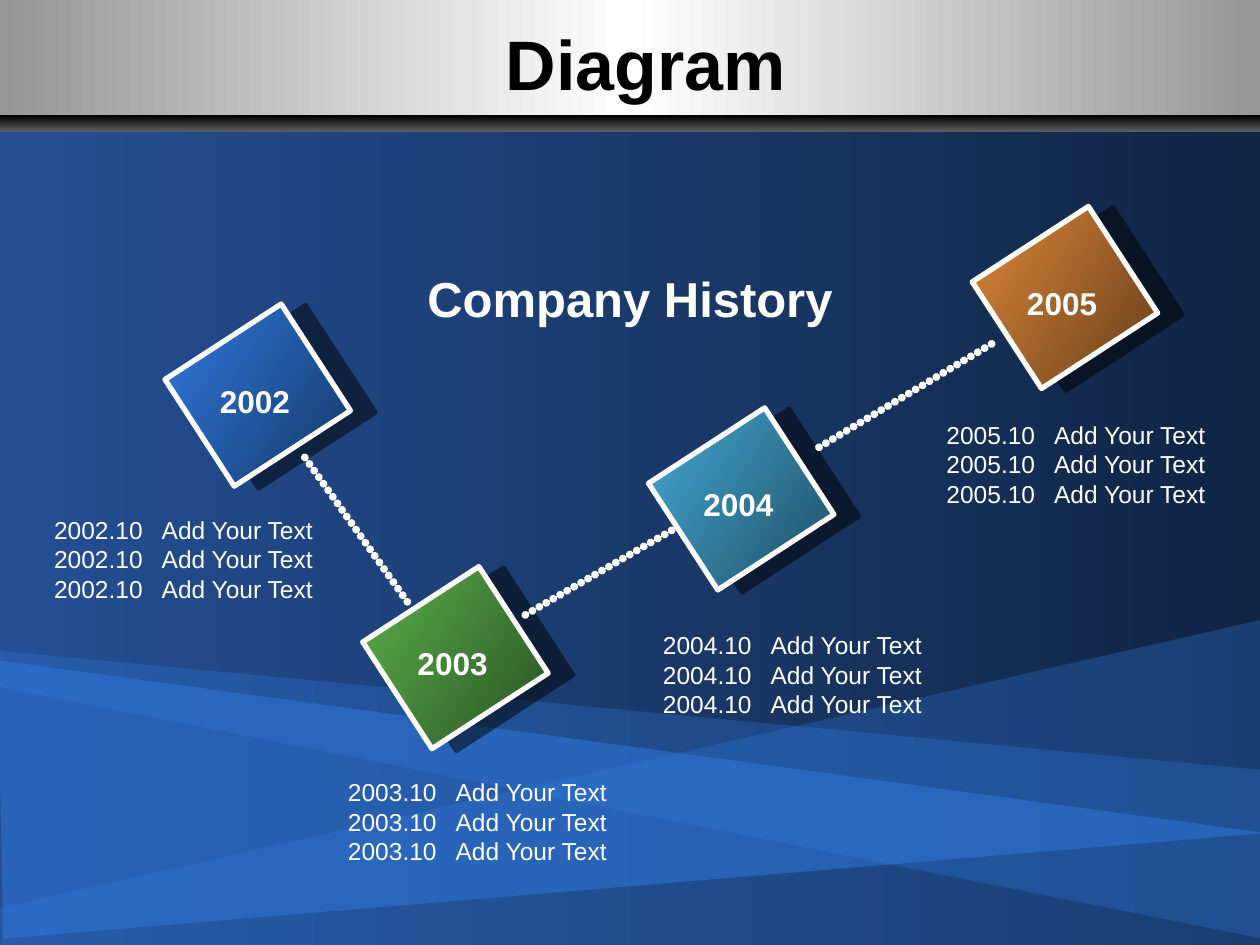
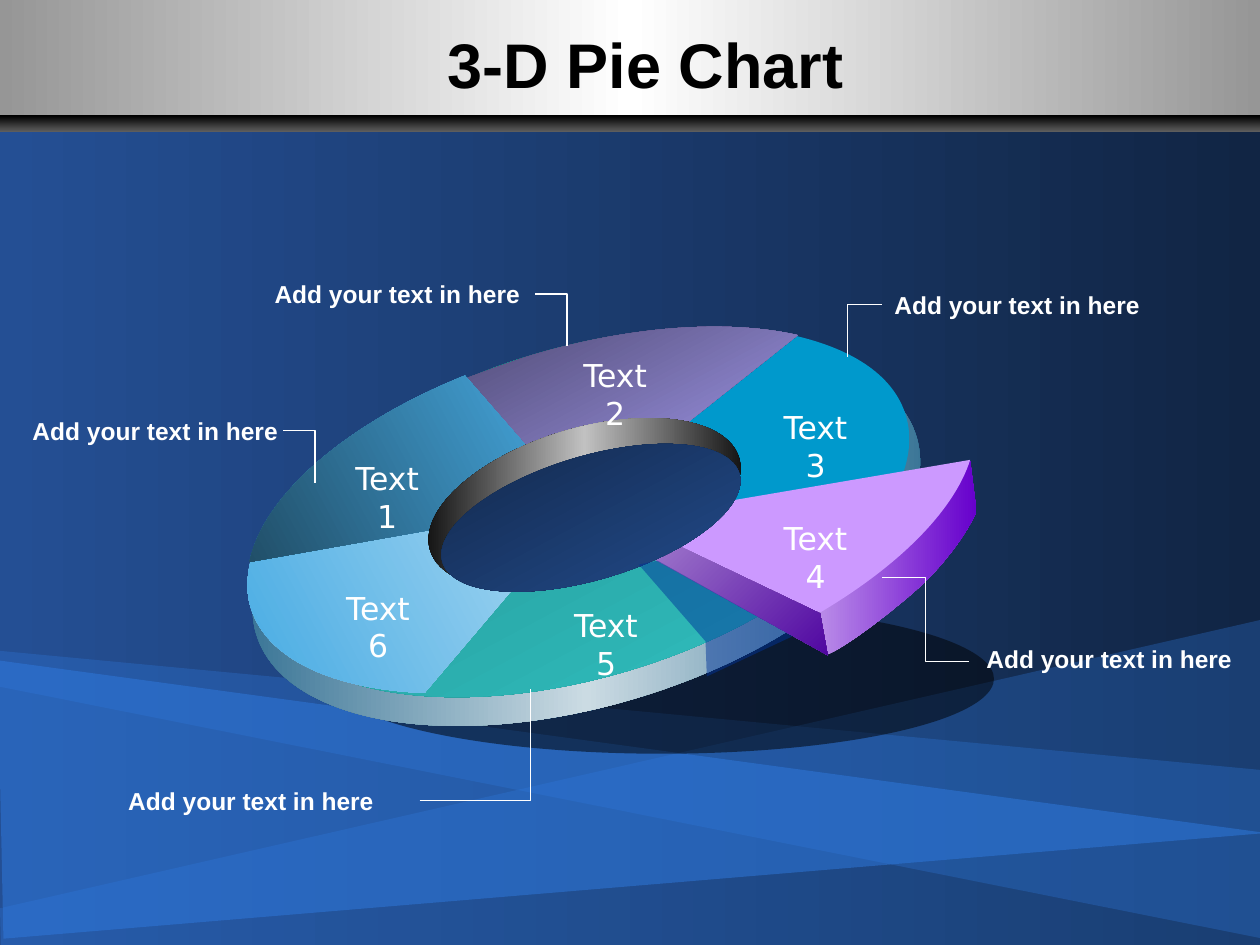
from lxml import etree
from pptx import Presentation
from pptx.dml.color import RGBColor
from pptx.enum.shapes import MSO_CONNECTOR as CONNECTOR, MSO_SHAPE as SHAPE
from pptx.enum.text import MSO_ANCHOR as ANCHOR, PP_ALIGN as ALIGN
from pptx.oxml.ns import qn
from pptx.util import Pt

# Colours
BLACK = RGBColor(0x00, 0x00, 0x00)
WHITE = RGBColor(0xFF, 0xFF, 0xFF)
SILVER = RGBColor(0x96, 0x96, 0x96)
GRAPHITE = RGBColor(0x5D, 0x5D, 0x5D)
RING_GREY = RGBColor(0xC1, 0xC1, 0xC1)
ROYAL = RGBColor(0x24, 0x4F, 0x94)
NAVY = RGBColor(0x11, 0x25, 0x44)
BEAM = RGBColor(0x2F, 0x7A, 0xDF)
BEAM_DARK = RGBColor(0x16, 0x38, 0x67)
GREEN = RGBColor(0x5A, 0xB1, 0x4B)
GREEN_DARK = RGBColor(0x2A, 0x52, 0x23)
AQUA = RGBColor(0x44, 0xA9, 0xD6)
AQUA_DARK = RGBColor(0x1F, 0x4E, 0x63)
ORANGE = RGBColor(0xDD, 0x87, 0x39)
ORANGE_DARK = RGBColor(0x66, 0x3E, 0x1A)
STEEL = RGBColor(0x29, 0x69, 0x8D)
MIST = RGBColor(0xCB, 0xDB, 0xE3)
TEAL_DARK = RGBColor(0x20, 0x82, 0x82)
TEAL = RGBColor(0x33, 0xCC, 0xCC)
CYAN = RGBColor(0x00, 0x99, 0xCC)
SKY_LIGHT = RGBColor(0xAB, 0xD9, 0xF2)
SKY = RGBColor(0x47, 0xAB, 0xE3)
SKY_DARK = RGBColor(0x21, 0x4F, 0x69)
PLUM = RGBColor(0x4F, 0x4A, 0x73)
PERIWINKLE = RGBColor(0xAA, 0xA0, 0xF8)
LILAC = RGBColor(0xCC, 0x99, 0xFF)
LILAC_EDGE = RGBColor(0xB9, 0x8B, 0xE8)
VIOLET = RGBColor(0x66, 0x00, 0xCC)
LILAC_CUT = RGBColor(0xAF, 0x8E, 0xD4)
VIOLET_CUT = RGBColor(0x50, 0x07, 0xA1)
CUT_BLUE = RGBColor(0x00, 0x33, 0x99)

TILT = 343.4


# Fills and effects
def add_color(parent, color, opacity=100):
    node = etree.SubElement(parent, qn("a:srgbClr"), val=str(color))
    if opacity < 100:
        etree.SubElement(node, qn("a:alpha"), val=str(opacity * 1000))


def fill_gradient(fill, colors, angle):
    """Spread the colours evenly; angle is clockwise, fixed to the slide."""
    fill.gradient()
    stop_list = fill.gradient_stops[0]._gs.getparent()
    for stop in list(stop_list):
        stop_list.remove(stop)
    for i, color in enumerate(colors):
        position = 100000 * i // (len(colors) - 1)
        add_color(etree.SubElement(stop_list, qn("a:gs"), pos=str(position)), color)
    gradient = stop_list.getparent()
    gradient.set("rotWithShape", "0")
    gradient.find(qn("a:lin")).set("ang", str(angle * 60000))


def paint(shape, colors, angle=0, opacity=100):
    """Fill with one colour or a gradient, without line or shadow."""
    shape.shadow.inherit = False
    shape.line.fill.background()
    if len(colors) > 1:
        fill_gradient(shape.fill, colors, angle)
        return
    shape.fill.solid()
    shape.fill.fore_color.rgb = colors[0]
    if opacity < 100:
        solid = shape._element.spPr.find(qn("a:solidFill"))
        solid.remove(solid[0])
        add_color(solid, colors[0], opacity)


# Elements
def add_preset(slide, kind, box, colors, angle=0, opacity=100, rotation=0):
    shape = slide.shapes.add_shape(kind, *map(Pt, box))
    shape.rotation = rotation
    paint(shape, colors, angle, opacity)
    return shape


def bend(first_step):
    """Turn three straight steps into one curve: two controls and an end."""
    steps = [first_step, first_step.getnext(), first_step.getnext().getnext()]
    curve = etree.Element(qn("a:cubicBezTo"))
    first_step.addprevious(curve)
    for step in steps:
        curve.append(step[0])
        step.getparent().remove(step)


def add_outline(slide, outline, colors, angle=0, opacity=100):
    """Outline items are points, or curves of two controls and an end."""
    points, curve_starts = [], []
    for item in outline:
        if len(item) == 3:
            curve_starts.append(len(points) - 1)
            points.extend(item)
        else:
            points.append(item)
    (x, y), *rest = [(Pt(x), Pt(y)) for x, y in points]
    builder = slide.shapes.build_freeform(x, y, scale=1.0)
    builder.add_line_segments(rest, close=True)
    shape = builder.convert_to_shape()
    steps = list(shape._element.iter(qn("a:lnTo")))
    for start in curve_starts:
        bend(steps[start])
    paint(shape, colors, angle, opacity)


def add_text(slide, box, lines, size, bold=False, color=WHITE, font="Arial",
             align=ALIGN.LEFT, tab=None):
    frame = slide.shapes.add_textbox(*map(Pt, box)).text_frame
    frame.word_wrap = True
    for i, line in enumerate(lines):
        paragraph = frame.add_paragraph() if i else frame.paragraphs[0]
        paragraph.text = line
        paragraph.alignment = align
        if tab:
            tabs = etree.SubElement(paragraph._p.get_or_add_pPr(), qn("a:tabLst"))
            etree.SubElement(tabs, qn("a:tab"), pos=str(Pt(tab)), algn="l")
        paragraph.font.name = font
        paragraph.font.size = Pt(size)
        paragraph.font.bold = bold
        paragraph.font.color.rgb = color
    return frame


def add_line(slide, kind, start, end, width):
    line = slide.shapes.add_connector(kind, *map(Pt, start + end))
    line.line.color.rgb = WHITE
    line.line.width = Pt(width)
    etree.SubElement(line._element.spPr, qn("a:effectLst"))
    return line


# Shared backdrop and title
def add_titled_slide(deck, title, size):
    slide = deck.slides.add_slide(deck.slide_layouts[6])
    fill_gradient(slide.background.fill, (ROYAL, NAVY), 0)
    add_preset(slide, SHAPE.RECTANGLE, (0, 0, 720, 72.7), (SILVER, WHITE, SILVER))
    add_preset(slide, SHAPE.RECTANGLE, (0, 66, 720, 9.2), (BLACK, GRAPHITE), 90)
    beams = (
        ([(-4.3, 371.5), (720.7, 440), (722, 536.4), (0, 392.4)], 30),
        ([(0.7, 543.6), (722, 542), (721.4, 354), (0, 519)], 30),
        ([(2, 536.4), (723.6, 476), (-1.4, 377.3)], 50),
    )
    for outline, opacity in beams:
        add_outline(slide, outline, (BEAM,), opacity=opacity)
    frame = add_text(slide, (72, 18, 594, 36), [title], size, True, BLACK, align=ALIGN.CENTER)
    frame.vertical_anchor = ANCHOR.MIDDLE
    return slide


# Company history
def add_milestone(slide, year, corner, colors, notes_corner):
    x, y = corner
    tile = add_preset(slide, SHAPE.RECTANGLE, (x, y, 72.7, 79.2), colors, 33, rotation=57)
    tile.line.color.rgb = WHITE
    tile.line.width = Pt(3)
    shadow = etree.SubElement(tile._element.spPr.find(qn("a:effectLst")), qn("a:outerShdw"),
                              dist=str(Pt(14)), dir=str(4 * 60000), rotWithShape="0")
    add_color(shadow, BLACK, 50)
    add_text(slide, (x + 2.7, y + 28.4, 64, 28.8), [year], 18, True, align=ALIGN.CENTER)
    add_text(slide, notes_corner + (166, 58), [f"{year}.10\tAdd Your Text"] * 3, 14, tab=61.5)


def add_dotted_link(slide, start, end):
    link = add_line(slide, CONNECTOR.STRAIGHT, start, end, 4.5)
    stroke = link._element.spPr.find(qn("a:ln"))
    stroke.set("cap", "rnd")
    # Round caps widen each dash, so the dots all but touch
    dashes = etree.SubElement(stroke, qn("a:custDash"))
    etree.SubElement(dashes, qn("a:ds"), d="100000", sp="2000")


def build_history(deck):
    slide = add_titled_slide(deck, "Diagram", 40)
    milestones = (
        ("2002", (110.9, 186.2), (BEAM, BEAM_DARK), (23.8, 290.6)),
        ("2003", (223.9, 336.2), (GREEN, GREEN_DARK), (191.8, 440.6)),
        ("2004", (387.2, 245.5), (AQUA, AQUA_DARK), (371.8, 356.6)),
        ("2005", (572.2, 130.4), (ORANGE, ORANGE_DARK), (533.8, 236.5)),
    )
    for milestone in milestones:
        add_milestone(slide, *milestone)
    links = (
        ((174.2, 261.4), (234, 345.6)),
        ((300.2, 351.4), (383.8, 303.1)),
        ((468, 255.6), (570.2, 194.4)),
    )
    for start, end in links:
        add_dotted_link(slide, start, end)
    add_text(slide, (198, 149.8, 324, 41), ["Company History"], 28, True, align=ALIGN.CENTER)


# Ring chart drawing
def add_ring(slide):
    add_preset(slide, SHAPE.OVAL, (188, 345, 380, 85.7), (BLACK,), opacity=50)
    add_preset(slide, SHAPE.OVAL, (138.2, 208.8, 393.8, 194.4), (STEEL, MIST, STEEL),
               rotation=TILT)
    add_preset(slide, SHAPE.OVAL, (141.8, 198.7, 380.2, 188.6), (TEAL_DARK, TEAL), 62,
               rotation=TILT)
    segments = (
        ([(452.9, 191.5), ((488.2, 199.4), (511.2, 215.3), (517.7, 237.6)),
          ((521.3, 249.8), (519.8, 262.8), (513.4, 277.2)), (331.2, 293.8)], (CYAN,), 0),
        ([(144.7, 315.4), ((141.1, 326.9), (140.4, 337.7), (143.3, 347)),
          ((151.9, 375.8), (188.6, 393.8), (242.6, 396)), (331.9, 290.9)],
         (SKY_LIGHT, SKY), 152),
        ([(262.8, 217.4), ((276.5, 212.4), (290.2, 207.4), (303.8, 203)),
          ((359.3, 186.5), (414.7, 182.2), (455.8, 191.5)), (330.5, 290.9)],
         (PLUM, PERIWINKLE), 62),
        ([(265.7, 214.6), ((198, 241.9), (150.5, 283), (142.6, 321.1)), (329.8, 288)],
         (SKY, SKY_DARK), 152),
    )
    for outline, colors, angle in segments:
        add_outline(slide, outline, colors, angle)
    add_preset(slide, SHAPE.OVAL, (241.9, 244.8, 184.3, 86.4), (BLACK, RING_GREY, BLACK),
               rotation=TILT)


def add_pulled_slice(slide):
    rim = [(468.7, 349.9), (554.4, 263.5), (558, 292.3),
           ((553, 303.8), (542.2, 319), (528.5, 332.6)),
           ((514.1, 346.3), (481.7, 371.5), (471.6, 374.4))]
    face = [(554.4, 262.8), ((545, 292.3), (512.6, 324.7), (465.1, 352.1)), (351.4, 297.4)]
    cut = [(468.7, 350.6), (473, 374.4), (360, 311.8), (352.8, 295.2)]
    add_outline(slide, rim, (LILAC_EDGE, VIOLET))
    add_outline(slide, face, (LILAC,))
    add_outline(slide, cut, (LILAC_CUT, VIOLET_CUT), 45)


def add_callout(slide, text_corner, start, end, turns):
    add_text(slide, text_corner + (164, 24.5), ["Add your text in here"], 14, True)
    leader = add_line(slide, CONNECTOR.ELBOW, start, end, 0.75)
    # A leader with one turn runs level first, then upright
    leader._element.spPr.find(qn("a:prstGeom")).set("prst", f"bentConnector{turns + 1}")


def build_ring(deck):
    slide = add_titled_slide(deck, "3-D Pie Chart", 36)
    add_ring(slide)
    add_pulled_slice(slide)
    label_corners = ((191, 259), (321.3, 200), (435.8, 229.7),
                     (435.8, 293.3), (316.1, 342.7), (185.8, 332.8))
    for number, corner in enumerate(label_corners, 1):
        add_text(slide, corner + (60.5, 28.8), [f"Text{number}"], 18,
                 font="DejaVu Sans", align=ALIGN.CENTER)
    # Hole and the gap left by the pulled slice
    add_preset(slide, SHAPE.OVAL, (249.1, 260.6, 177.1, 70.6), (NAVY, ROYAL), 62,
               rotation=TILT)
    gap = [(365, 322.6), (403.2, 366.5), (403.9, 386.6), (452.9, 363.6), (375.8, 320.4)]
    add_outline(slide, gap, (CUT_BLUE,), opacity=49)
    callouts = (
        ((504, 162), (504, 174), (484.3, 203.8), 1),
        ((11.5, 234), (161.8, 246), (180, 275.8), 1),
        ((149.8, 156.2), (305.8, 168), (324, 198), 1),
        ((556.6, 364.3), (553.5, 378), (504, 330), 2),
        ((66.2, 445.7), (239.8, 457.4), (303.2, 393.8), 1),
    )
    for callout in callouts:
        add_callout(slide, *callout)


def main():
    deck = Presentation()
    deck.slide_width, deck.slide_height = Pt(720), Pt(540)
    build_history(deck)
    build_ring(deck)
    deck.save("out.pptx")


if __name__ == "__main__":
    main()
